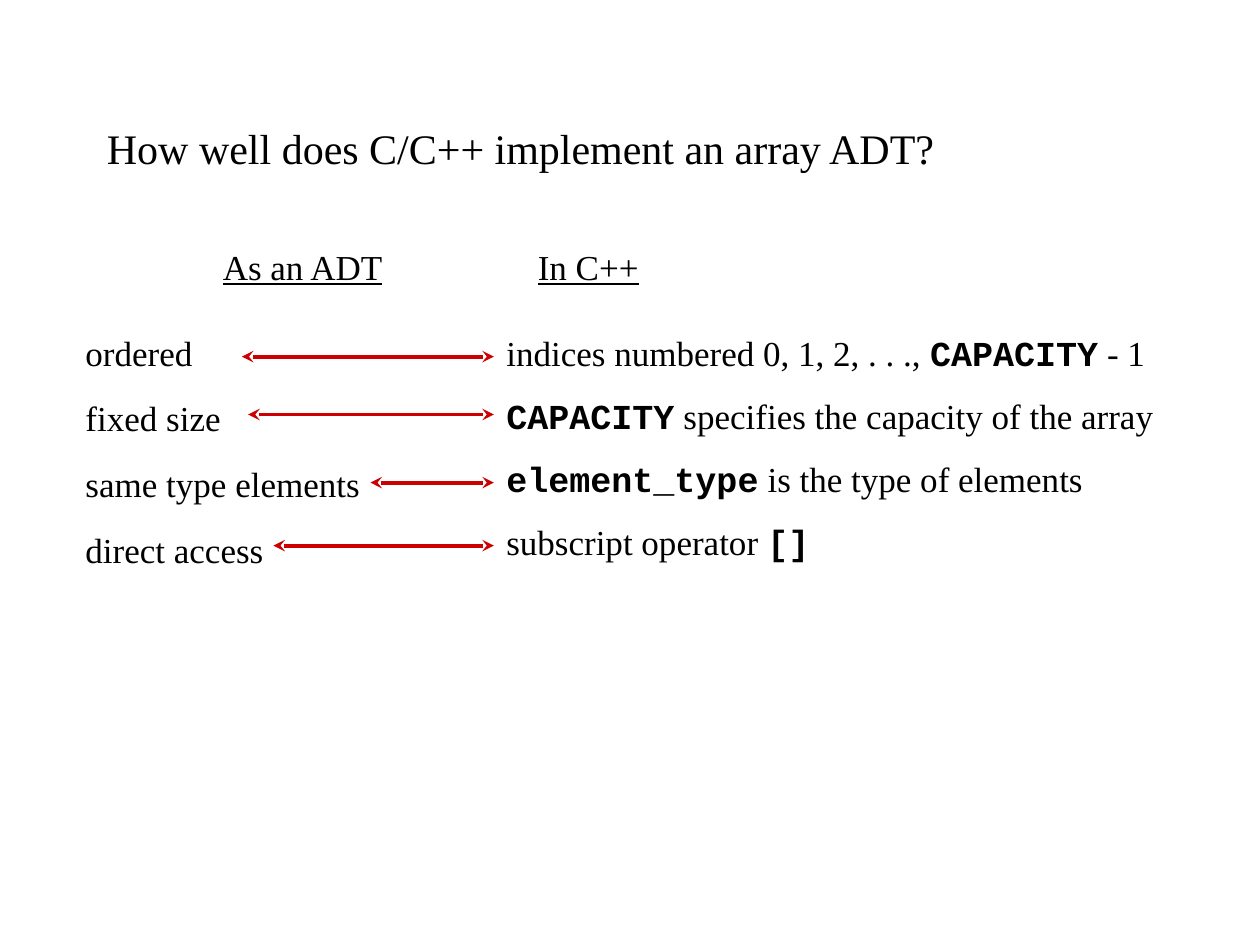
"""Build a slide comparing the array ADT with its C++ implementation."""
from dataclasses import dataclass

from lxml.etree import SubElement
from pptx import Presentation
from pptx.dml.color import RGBColor
from pptx.enum.shapes import MSO_CONNECTOR
from pptx.oxml.ns import qn
from pptx.util import Inches, Pt

BLACK = RGBColor(0, 0, 0)
RED = RGBColor(0xCC, 0, 0)
SERIF = "Times New Roman"
MONO = "Courier New"
COLUMN_X = 3.92
FIRST_ROW_Y = 2.58
ROW_PITCH = 0.5


@dataclass(frozen=True)
class Span:
    text: str
    code: bool = False
    underline: bool = False


@dataclass(frozen=True)
class Match:
    concept: str
    feature: tuple[Span, ...]
    arrow_x: float
    arrow_y: float
    width: float
    height: float = 0.77


MATCHES = (
    Match("ordered",
          (Span("indices numbered 0, 1, 2, . . ., "), Span("CAPACITY", code=True), Span(" - 1")),
          1.92, 2.83, 5.42),
    Match("fixed size",
          (Span("CAPACITY", code=True), Span(" specifies the capacity of the array")),
          1.97, 3.29, 5.81),
    Match("same type elements",
          (Span("element_type", code=True), Span(" is the type of elements")),
          2.94, 3.83, 5.06),
    Match("direct access",
          (Span("subscript operator "), Span("[]", code=True)),
          2.17, 4.33, 4.4, 0.44),
)


def add_text(slide, left: float, top: float, width: float, height: float,
             *lines: tuple[Span, ...], size: float = 20, space_before: float = 0,
             indent: float = 0, tabs: tuple[int, ...] = ()) -> None:
    frame = slide.shapes.add_textbox(
        Inches(left), Inches(top), Inches(width), Inches(height)).text_frame
    frame.word_wrap = True
    for number, line in enumerate(lines):
        paragraph = frame.add_paragraph() if number else frame.paragraphs[0]
        paragraph.space_before = Pt(space_before)
        properties = paragraph._p.get_or_add_pPr()
        if indent:
            properties.set("marL", str(Inches(indent)))
            properties.set("indent", "0")
        if tabs:
            stops = SubElement(properties, qn("a:tabLst"))
            for stop in tabs:
                SubElement(stops, qn("a:tab"), pos=str(Inches(stop)), algn="l")
        for span in line:
            run = paragraph.add_run()
            run.text = span.text
            run.font.name = MONO if span.code else SERIF
            run.font.size = Pt(size)
            run.font.bold = span.code
            run.font.underline = span.underline
            run.font.color.rgb = BLACK


def add_double_arrow(slide, start: float, end: float, y: float) -> None:
    arrow = slide.shapes.add_connector(
        MSO_CONNECTOR.STRAIGHT, Inches(start), Inches(y), Inches(end), Inches(y))
    arrow.line.color.rgb = RED
    arrow.line.width = Pt(2.25)
    outline = arrow.line._get_or_add_ln()
    for tip in ("a:headEnd", "a:tailEnd"):
        SubElement(outline, qn(tip), type="stealth")
    SubElement(arrow._element.spPr, qn("a:effectLst"))


def main() -> None:
    deck = Presentation()
    deck.slide_width, deck.slide_height = Inches(10), Inches(7.5)
    slide = deck.slides.add_slide(deck.slide_layouts[6])

    add_text(slide, 0.75, 0.92, 8.58, 0.5,
             (Span("How well does C/C++ implement an array ADT?"),), size=24)
    add_text(slide, 0.67, 1.9, 8.67, 0.44,
             (Span("As an ADT", underline=True), Span("\t\t\t"), Span("In C++", underline=True)),
             indent=1, tabs=tuple(range(2, 9)))
    for match in MATCHES:
        add_double_arrow(slide, match.arrow_x, COLUMN_X, match.arrow_y)
    add_text(slide, 0.58, FIRST_ROW_Y, 2.75, 2.29,
             *((Span(match.concept),) for match in MATCHES), space_before=13.5)
    for row, match in enumerate(MATCHES):
        add_text(slide, COLUMN_X, FIRST_ROW_Y + row * ROW_PITCH,
                 match.width, match.height, match.feature)

    deck.save("out.pptx")


if __name__ == "__main__":
    main()
